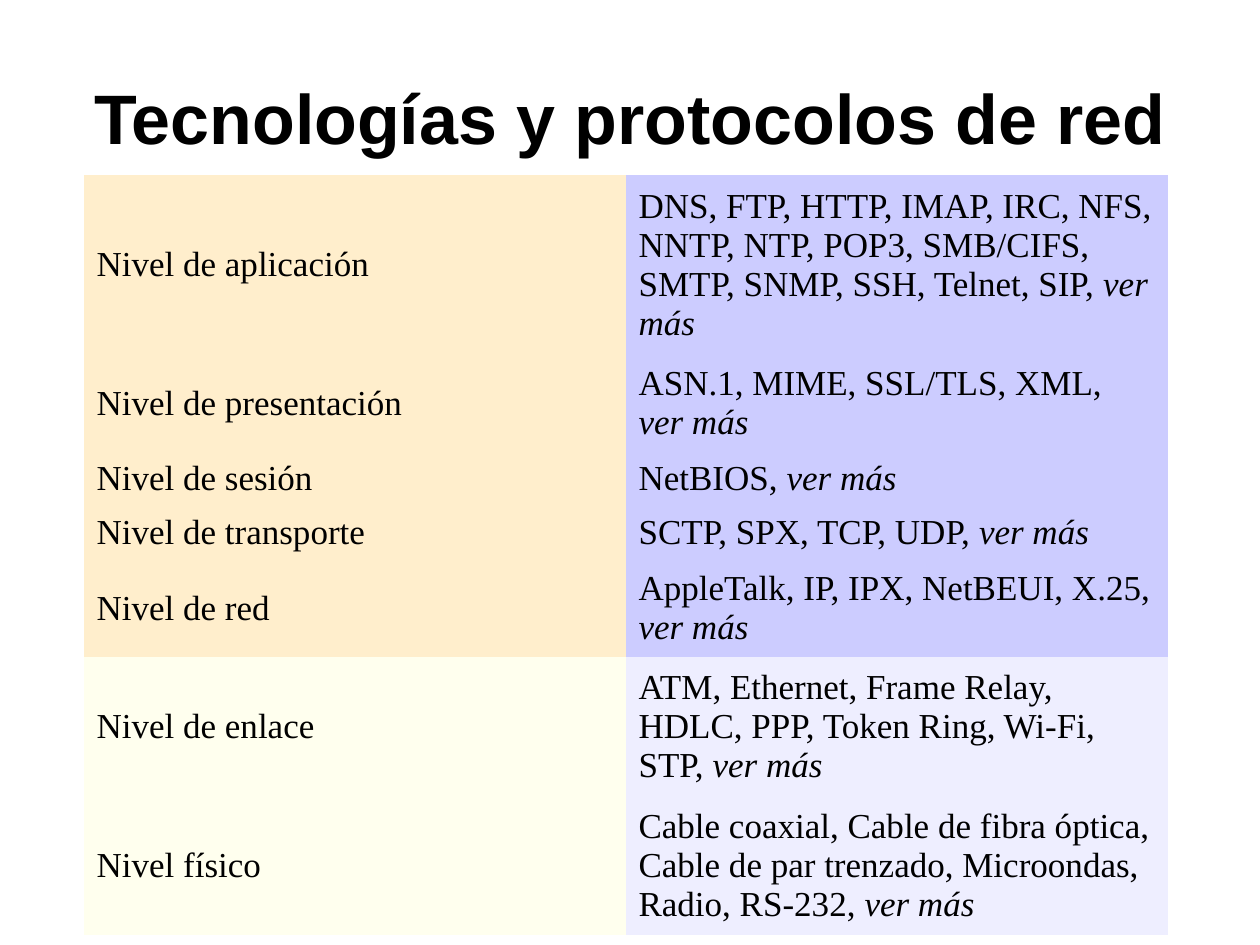
import pptx
import pptx.util
import pptx.dml.color
import pptx.enum.text
import pptx.oxml.ns

PX = 914400 // 126
COLORS = {
    "text": "000000",
    "upper_name": "FFEECC",
    "upper_protocols": "CCCCFF",
    "lower_name": "FFFFEE",
    "lower_protocols": "EEEEFF",
}
NO_STYLE = "{2D5ABB26-0587-4C30-8999-92F81FD0307C}"
LEVELS = [
    ("Nivel de aplicación", "DNS, FTP, HTTP, IMAP, IRC, NFS, NNTP, NTP, POP3, "
     "SMB/CIFS, SMTP, SNMP, SSH, Telnet, SIP, ", "upper", 180),
    ("Nivel de presentación", "ASN.1, MIME, SSL/TLS, XML, ", "upper", 97),
    ("Nivel de sesión", "NetBIOS, ", "upper", 54),
    ("Nivel de transporte", "SCTP, SPX, TCP, UDP, ", "upper", 54),
    ("Nivel de red", "AppleTalk, IP, IPX, NetBEUI, X.25, ", "upper", 97),
    ("Nivel de enlace", "ATM, Ethernet, Frame Relay, HDLC, PPP, Token Ring, "
     "Wi-Fi, STP, ", "lower", 139),
    ("Nivel físico", "Cable coaxial, Cable de fibra óptica, Cable de par trenzado, "
     "Microondas, Radio, RS-232, ", "lower", 139),
]
LAST_ROW = 50


def rgb(name):
    return pptx.dml.color.RGBColor.from_string(COLORS[name])


def format_run(r, font, size, bold=False, italic=False):
    r.font.name = font
    r.font.size = pptx.util.Pt(size)
    r.font.bold = bold
    r.font.italic = italic
    r.font.color.rgb = rgb("text")


prs = pptx.Presentation()
prs.slide_width = pptx.util.Inches(10)
prs.slide_height = pptx.util.Inches(7.5)
s = prs.slides.add_slide(prs.slide_layouts[5])

title = s.shapes.title
title.left, title.top, title.width, title.height = 63 * PX, 38 * PX, 1134 * PX, 157 * PX
tf = title.text_frame
tf.text = "Tecnologías y protocolos de red"
tf.vertical_anchor = pptx.enum.text.MSO_ANCHOR.MIDDLE
p = tf.paragraphs[0]
p.alignment = pptx.enum.text.PP_ALIGN.CENTER
format_run(p.runs[0], "Arial", 40, bold=True)

heights = [level[3] for level in LEVELS] + [LAST_ROW]
table = s.shapes.add_table(len(heights), 2, 84 * PX, 175 * PX,
                           1084 * PX, sum(heights) * PX).table
table.first_row = False
table.horz_banding = False
table._tbl.tblPr.find(pptx.oxml.ns.qn("a:tableStyleId")).text = NO_STYLE
for col in table.columns:
    col.width = 542 * PX
for row, height in zip(table.rows, heights):
    row.height = height * PX

for i, (name, protocols, group, height) in enumerate(LEVELS):
    for j, (kind, text) in enumerate([("name", name), ("protocols", protocols)]):
        cell = table.cell(i, j)
        cell.fill.solid()
        cell.fill.fore_color.rgb = rgb(f"{group}_{kind}")
        cell.vertical_anchor = pptx.enum.text.MSO_ANCHOR.MIDDLE
        p = cell.text_frame.paragraphs[0]
        p.text = text
        format_run(p.runs[0], "Times New Roman", 20)
        if kind == "protocols":
            r = p.add_run()
            r.text = "ver más"
            format_run(r, "Times New Roman", 20, italic=True)

last = len(LEVELS)
table.cell(last, 0).merge(table.cell(last, 1))
table.cell(last, 0).fill.background()

prs.save("out.pptx")
